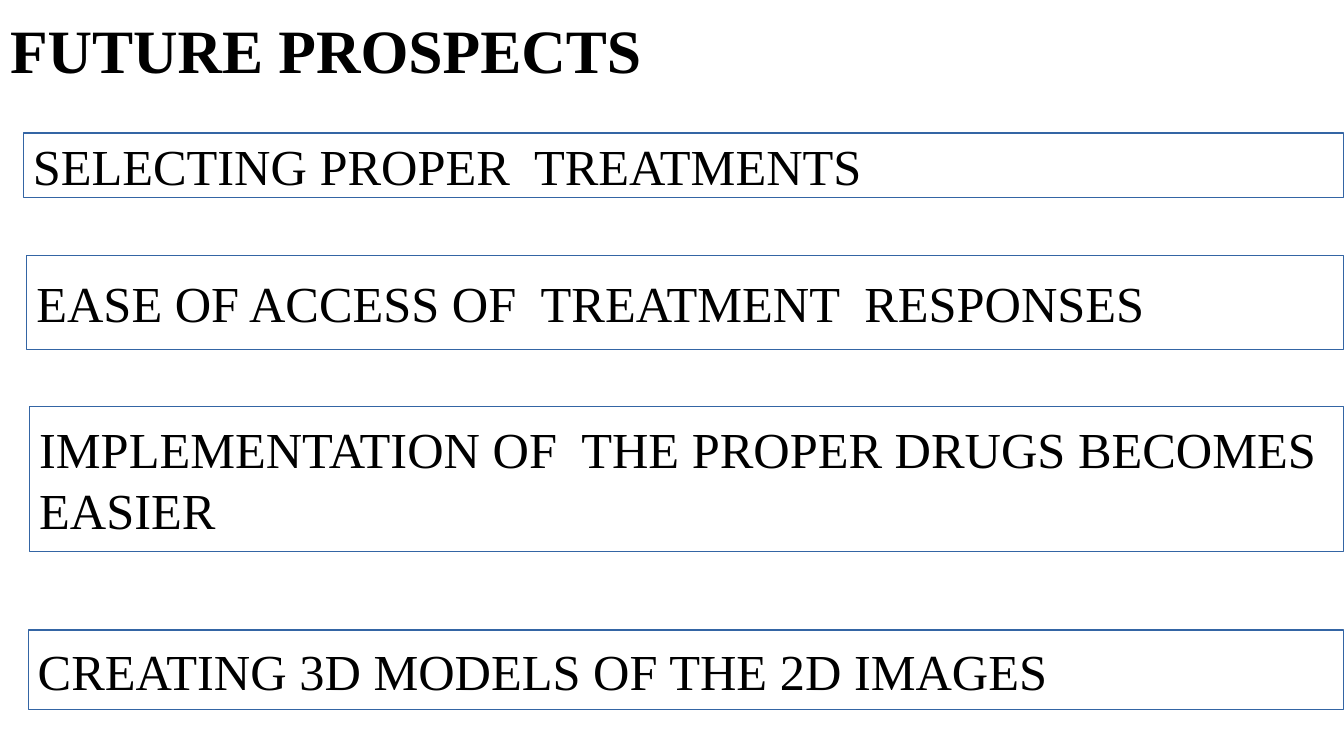
from dataclasses import dataclass

from pptx import Presentation
from pptx.dml.color import RGBColor
from pptx.enum import shapes, text
from pptx.util import Pt

COLORS = {"ink": "000000", "paper": "FFFFFF", "edge": "3465A4"}
FONT = "Times New Roman"
WIDE, HIGH = 960, 540


@dataclass
class Box:
    left: float
    top: float
    height: float
    words: str


BOXES = [
    Box(16.75, 95, 46, "SELECTING PROPER  TREATMENTS"),
    Box(19.25, 182.5, 67.25, "EASE OF ACCESS OF  TREATMENT  RESPONSES"),
    Box(21.25, 290.5, 103.25, "IMPLEMENTATION OF  THE PROPER DRUGS BECOMES\nEASIER"),
    Box(20.25, 450, 57, "CREATING 3D MODELS OF THE 2D IMAGES"),
]


def color(name: str) -> RGBColor:
    return RGBColor.from_string(COLORS[name])


def write(shape, words: str, *, size: float, bold: bool = False,
          inset: tuple = (7.2, 3.6), space: float = 1.0) -> None:
    frame = shape.text_frame
    frame.text = words
    frame.word_wrap = True
    frame.auto_size = text.MSO_AUTO_SIZE.NONE
    frame.vertical_anchor = text.MSO_ANCHOR.MIDDLE
    frame.margin_left = frame.margin_right = Pt(inset[0])
    frame.margin_top = frame.margin_bottom = Pt(inset[1])
    for line in frame.paragraphs:
        line.alignment = text.PP_ALIGN.LEFT
        line.line_spacing = space
        for run in line.runs:
            run.font.name = FONT
            run.font.size = Pt(size)
            run.font.bold = bold
            run.font.color.rgb = color("ink")


def draw(slide, box: Box) -> None:
    shape = slide.shapes.add_shape(
        shapes.MSO_SHAPE.RECTANGLE, Pt(box.left), Pt(box.top),
        Pt(WIDE - box.left), Pt(box.height))
    shape.shadow.inherit = False
    shape.fill.solid()
    shape.fill.fore_color.rgb = color("paper")
    shape.line.color.rgb = color("edge")
    shape.line.width = Pt(0.75)
    write(shape, box.words, size=36, inset=(6.75, 3))


def main() -> None:
    deck = Presentation()
    deck.slide_width, deck.slide_height = Pt(WIDE), Pt(HIGH)
    slide = deck.slides.add_slide(deck.slide_layouts[5])
    title = slide.shapes.title
    title.left, title.top = Pt(0), Pt(0)
    title.width, title.height = Pt(WIDE), Pt(77)
    write(title, "FUTURE PROSPECTS", size=44, bold=True, space=0.9)
    for box in BOXES:
        draw(slide, box)
    deck.save("out.pptx")


if __name__ == "__main__":
    main()
